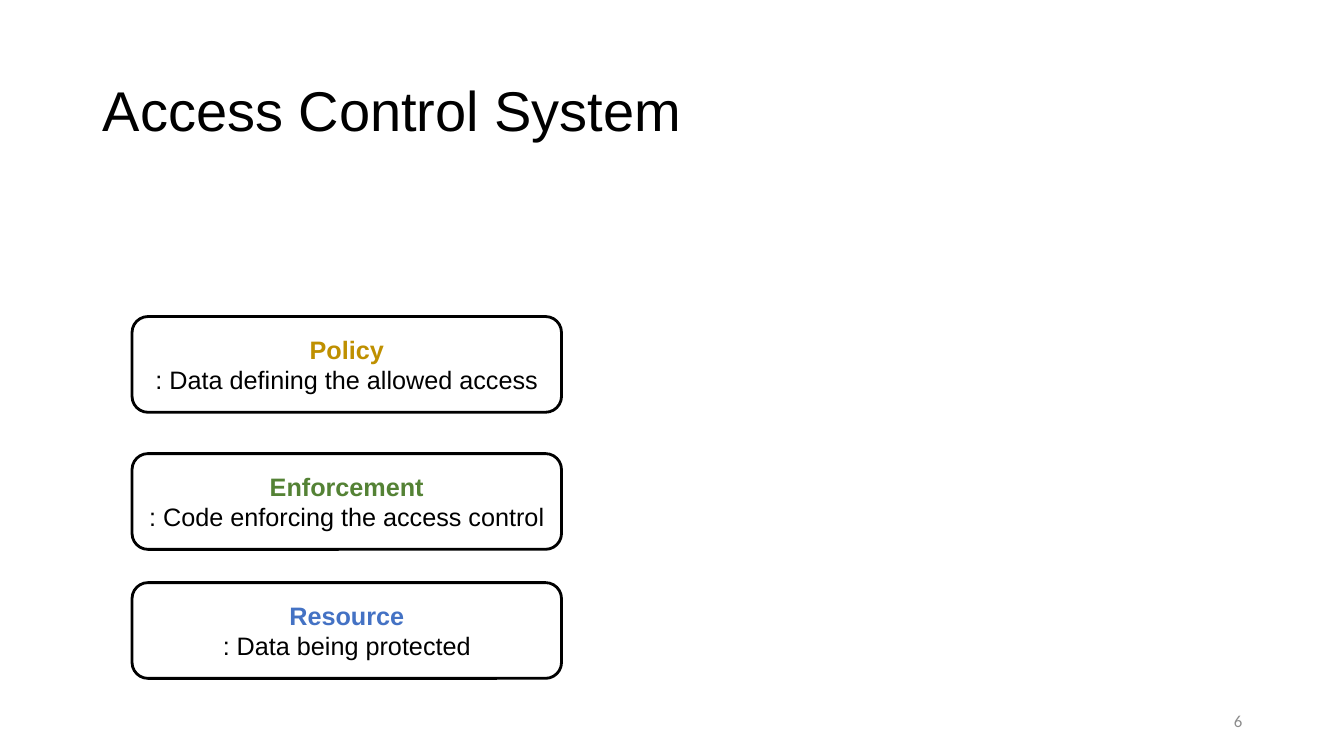
"""Build the Access Control System slide with its three component boxes."""
from dataclasses import dataclass

import pptx
import pptx.dml.color
import pptx.enum.shapes
import pptx.enum.text
import pptx.slide
import pptx.text.text
import pptx.util

EMU_PER_PX = 9144
COLORS = {
    "black": "000000",
    "white": "FFFFFF",
    "gray": "8C8C8C",
    "gold": "BF9000",
    "green": "548235",
    "blue": "4472C4",
}
ALIGN = pptx.enum.text.PP_ALIGN
MIDDLE = pptx.enum.text.MSO_ANCHOR.MIDDLE
BOX_LEFT, BOX_WIDTH, BOX_HEIGHT = 131, 426, 95


@dataclass(frozen=True)
class Component:
    name: str
    description: str
    color: str
    top: int


COMPONENTS = [
    Component("Policy", ": Data defining the allowed access", "gold", 314),
    Component("Enforcement", ": Code enforcing the access control", "green", 450),
    Component("Resource", ": Data being protected", "blue", 578),
]


def px(length: int) -> pptx.util.Emu:
    return pptx.util.Emu(length * EMU_PER_PX)


def rgb(name: str) -> pptx.dml.color.RGBColor:
    return pptx.dml.color.RGBColor.from_string(COLORS[name])


def style_font(
    font: pptx.text.text.Font, size: int, color: str, name: str = "Arial", bold: bool = False
) -> None:
    font.name = name
    font.size = pptx.util.Pt(size)
    font.bold = bold
    font.color.rgb = rgb(color)


def add_title(slide: pptx.slide.Slide, text: str) -> None:
    title = slide.shapes.title
    title.left, title.top, title.width, title.height = px(92), px(40), px(1150), px(145)
    title.text_frame.text = text
    title.text_frame.vertical_anchor = MIDDLE
    paragraph = title.text_frame.paragraphs[0]
    paragraph.alignment = ALIGN.LEFT
    paragraph.line_spacing = 0.9
    style_font(paragraph.runs[0].font, 40, "black")


def add_page_number(slide: pptx.slide.Slide, number: int) -> None:
    text_frame = slide.shapes.add_textbox(px(942), px(695), px(300), px(40)).text_frame
    text_frame.word_wrap = True
    text_frame.vertical_anchor = MIDDLE
    text_frame.text = str(number)
    paragraph = text_frame.paragraphs[0]
    paragraph.alignment = ALIGN.RIGHT
    style_font(paragraph.runs[0].font, 12, "gray", name="Calibri")


def add_component(slide: pptx.slide.Slide, component: Component) -> None:
    shape = slide.shapes.add_shape(
        pptx.enum.shapes.MSO_SHAPE.ROUNDED_RECTANGLE,
        px(BOX_LEFT), px(component.top), px(BOX_WIDTH), px(BOX_HEIGHT),
    )
    shape.shadow.inherit = False
    shape.fill.solid()
    shape.fill.fore_color.rgb = rgb("white")
    shape.line.color.rgb = rgb("black")
    shape.line.width = pptx.util.Pt(2)

    text_frame = shape.text_frame
    text_frame.word_wrap = True
    text_frame.vertical_anchor = MIDDLE
    text_frame.margin_left = text_frame.margin_right = 0
    text_frame.margin_top = text_frame.margin_bottom = 0
    paragraph = text_frame.paragraphs[0]
    paragraph.text = f"{component.name}\v{component.description}"
    paragraph.alignment = ALIGN.CENTER
    name_run, description_run = paragraph.runs
    style_font(name_run.font, 18, component.color, bold=True)
    style_font(description_run.font, 18, "black")


def main() -> None:
    presentation = pptx.Presentation()
    presentation.slide_width, presentation.slide_height = px(1333), px(750)
    title_only = presentation.slide_layouts.get_by_name("Title Only")
    slide = presentation.slides.add_slide(title_only)
    add_title(slide, "Access Control System")
    add_page_number(slide, 6)
    for component in COMPONENTS:
        add_component(slide, component)
    presentation.save("out.pptx")


if __name__ == "__main__":
    main()
